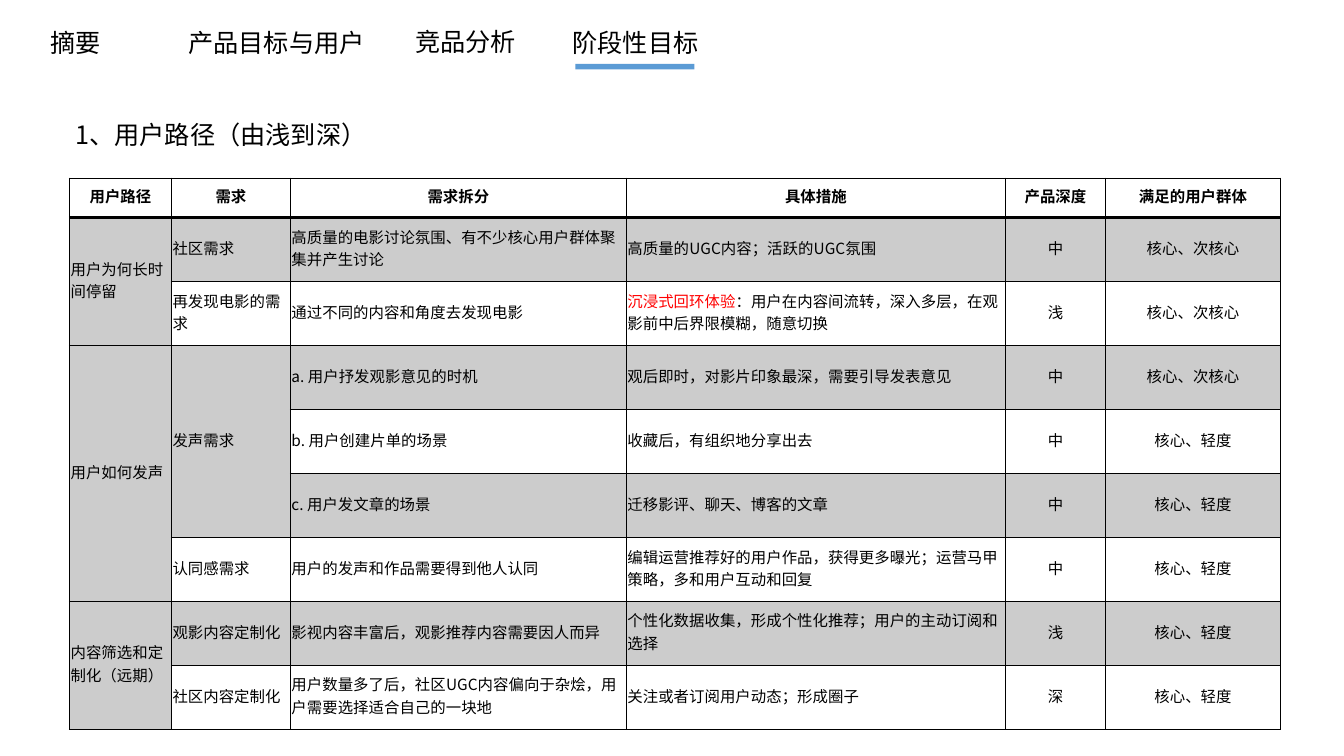
from lxml import etree
from pptx import Presentation
from pptx.dml.color import RGBColor
from pptx.enum.shapes import MSO_SHAPE
from pptx.enum.text import MSO_ANCHOR, PP_ALIGN
from pptx.oxml.ns import qn
from pptx.util import Pt

RECTANGLE = MSO_SHAPE.RECTANGLE
MIDDLE = MSO_ANCHOR.MIDDLE
LEFT, CENTER = PP_ALIGN.LEFT, PP_ALIGN.CENTER

FONT = "Noto Sans CJK SC"
COLORS = {"black": "000000", "red": "FF0000", "blue": "5B9BD5"}
SHADE_OPACITY = "20000"

NAVIGATION = [
    ("摘要", 28.8, 15.8, 51),
    ("产品目标与用户", 127.4, 15.8, 142),
    ("竞品分析", 289.4, 15.1, 87),
    ("阶段性目标", 401.8, 15.8, 105),
]
ACTIVE_BAR = (411, 45.6, 85, 4)
HEADING = ("1、用户路径（由浅到深）", 46.8, 82, 657.4, 177)

TABLE_LEFT, TABLE_TOP = 49.7, 127.4
COLUMN_WIDTHS = [72.8, 85, 240, 270.7, 71.7, 124.8]
HEADER_HEIGHT, ROW_HEIGHT = 28, 45.7
CENTERED_COLUMNS = (4, 5)
HIGHLIGHT = "沉浸式回环体验"
ROWS = [
    ("用户路径", "需求", "需求拆分", "具体措施", "产品深度", "满足的用户群体"),
    ("用户为何长时间停留", "社区需求", "高质量的电影讨论氛围、有不少核心用户群体聚集并产生讨论",
     "高质量的UGC内容；活跃的UGC氛围", "中", "核心、次核心"),
    (None, "再发现电影的需求", "通过不同的内容和角度去发现电影",
     HIGHLIGHT + "：用户在内容间流转，深入多层，在观影前中后界限模糊，随意切换", "浅", "核心、次核心"),
    ("用户如何发声", "发声需求", "a. 用户抒发观影意见的时机",
     "观后即时，对影片印象最深，需要引导发表意见", "中", "核心、次核心"),
    (None, None, "b. 用户创建片单的场景", "收藏后，有组织地分享出去", "中", "核心、轻度"),
    (None, None, "c. 用户发文章的场景", "迁移影评、聊天、博客的文章", "中", "核心、轻度"),
    (None, "认同感需求", "用户的发声和作品需要得到他人认同",
     "编辑运营推荐好的用户作品，获得更多曝光；运营马甲策略，多和用户互动和回复", "中", "核心、轻度"),
    ("内容筛选和定制化（远期）", "观影内容定制化", "影视内容丰富后，观影推荐内容需要因人而异",
     "个性化数据收集，形成个性化推荐；用户的主动订阅和选择", "浅", "核心、轻度"),
    (None, "社区内容定制化", "用户数量多了后，社区UGC内容偏向于杂烩，用户需要选择适合自己的一块地",
     "关注或者订阅用户动态；形成圈子", "深", "核心、轻度"),
]


def add_run(paragraph, text, size, color="black", bold=False):
    run = paragraph.add_run()
    run.text = text
    run.font.size = Pt(size)
    run.font.bold = bold
    run.font.color.rgb = RGBColor.from_string(COLORS[color])
    run.font.name = FONT
    etree.SubElement(run.font._element, qn("a:ea"), typeface=FONT)


def add_label(slide, text, left, top, width, height, wrap):
    box = slide.shapes.add_textbox(Pt(left), Pt(top), Pt(width), Pt(height))
    box.text_frame.word_wrap = wrap
    add_run(box.text_frame.paragraphs[0], text, 18)


def add_border(cell, side, width):
    line = etree.SubElement(cell._tc.get_or_add_tcPr(), qn("a:ln" + side), w=str(Pt(width)))
    fill = etree.SubElement(line, qn("a:solidFill"))
    etree.SubElement(fill, qn("a:srgbClr"), val=COLORS["black"])


def style_cell(cell, row_index):
    cell.vertical_anchor = MIDDLE
    cell.margin_left = cell.margin_right = cell.margin_top = Pt(0.75)
    cell.margin_bottom = Pt(3.6)
    for side in "LRTB":
        thick = (row_index, side) in ((0, "B"), (1, "T"))
        add_border(cell, side, 2 if thick else 1)
    if row_index % 2:
        cell.fill.solid()
        cell.fill.fore_color.rgb = RGBColor.from_string(COLORS["black"])
        color = cell._tc.tcPr.find(qn("a:solidFill")).find(qn("a:srgbClr"))
        etree.SubElement(color, qn("a:alpha"), val=SHADE_OPACITY)
    else:
        cell.fill.background()


def fill_cell(cell, text, row_index, column_index):
    paragraph = cell.text_frame.paragraphs[0]
    is_header = row_index == 0
    paragraph.alignment = CENTER if is_header or column_index in CENTERED_COLUMNS else LEFT
    if text.startswith(HIGHLIGHT):
        add_run(paragraph, HIGHLIGHT, 11, "red")
        text = text.removeprefix(HIGHLIGHT)
    add_run(paragraph, text, 11, bold=is_header)


def add_path_table(slide):
    heights = [HEADER_HEIGHT] + [ROW_HEIGHT] * (len(ROWS) - 1)
    frame = slide.shapes.add_table(len(ROWS), len(COLUMN_WIDTHS), Pt(TABLE_LEFT), Pt(TABLE_TOP),
                                   Pt(sum(COLUMN_WIDTHS)), Pt(sum(heights)))
    table = frame.table
    for column, width in zip(table.columns, COLUMN_WIDTHS):
        column.width = Pt(width)
    for row, height in zip(table.rows, heights):
        row.height = Pt(height)
    for row_index, texts in enumerate(ROWS):
        for column_index, text in enumerate(texts):
            cell = table.cell(row_index, column_index)
            style_cell(cell, row_index)
            if text is None:
                continue
            fill_cell(cell, text, row_index, column_index)
            last = row_index
            while last + 1 < len(ROWS) and ROWS[last + 1][column_index] is None:
                last += 1
            if last > row_index:
                cell.merge(table.cell(last, column_index))


def main():
    """Build the user path slide."""
    presentation = Presentation()
    presentation.slide_width, presentation.slide_height = Pt(960), Pt(540)
    slide = presentation.slides.add_slide(presentation.slide_layouts[6])
    for text, left, top, width in NAVIGATION:
        add_label(slide, text, left, top, width, 29, False)
    bar = slide.shapes.add_shape(RECTANGLE, *map(Pt, ACTIVE_BAR))
    bar.shadow.inherit = False
    bar.fill.solid()
    bar.fill.fore_color.rgb = RGBColor.from_string(COLORS["blue"])
    bar.line.fill.background()
    add_label(slide, *HEADING, True)
    add_path_table(slide)
    presentation.save("out.pptx")


if __name__ == "__main__":
    main()
